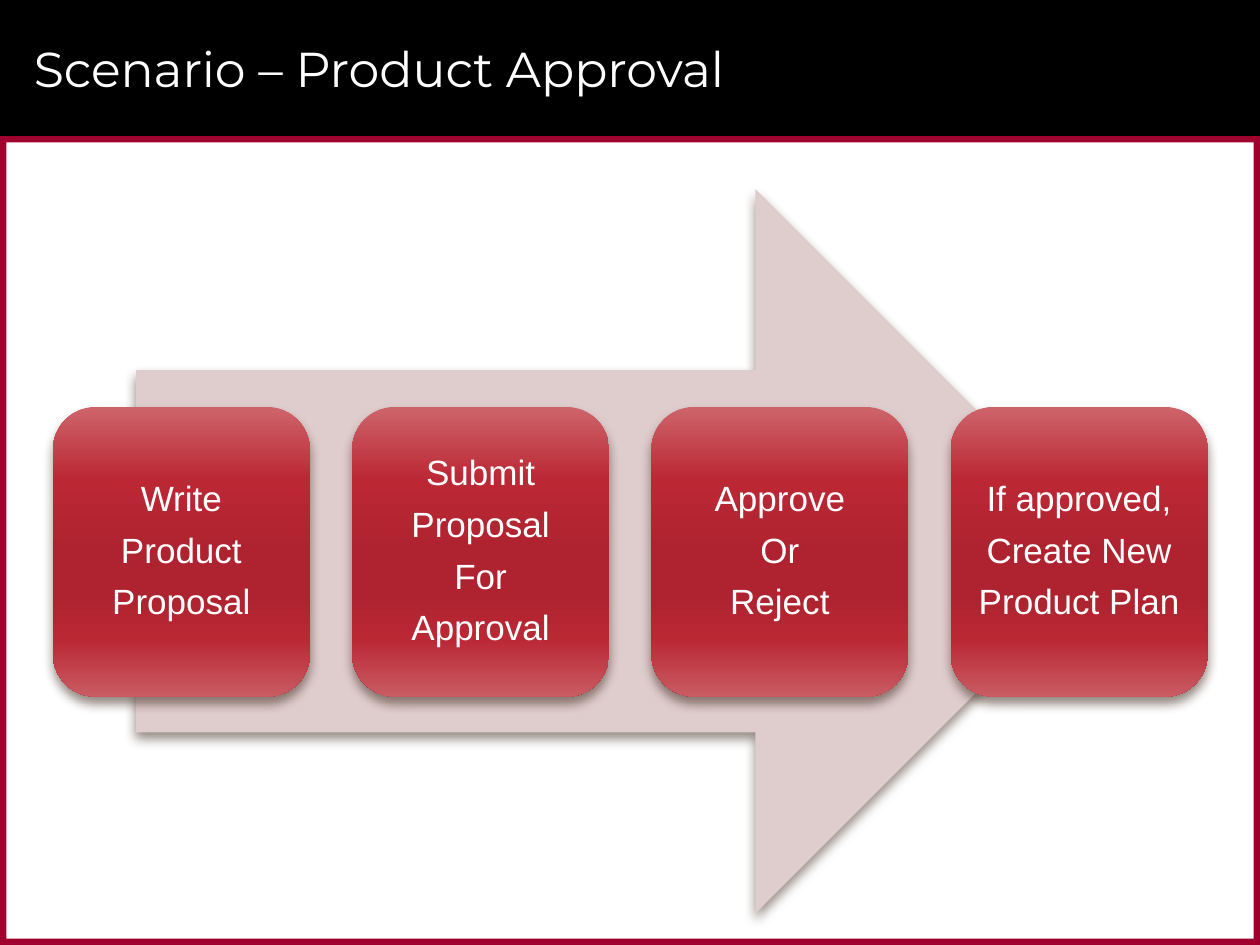
from lxml import etree
from pptx import Presentation
from pptx import util as u
from pptx.dml.color import RGBColor
from pptx.enum import shapes, text
from pptx.oxml import ns

COLORS = {"bar": "000000", "edge": "9F002D", "arrow": "DFCCCD",
          "shade": "4E3B30", "text": "FFFFFF"}
STOPS = [(0, "CE646B"), (25, "BB2834"), (50, "AE232F"),
         (65, "AE232F"), (80, "BA2834"), (100, "C95B63")]
STEPS = [["Write", "Product", "Proposal"],
         ["Submit", "Proposal", "For", "Approval"],
         ["Approve", "Or", "Reject"],
         ["If approved,", "Create New", "Product Plan"]]
KIND = shapes.MSO_SHAPE

deck = Presentation()
deck.slide_width, deck.slide_height = u.Inches(10), u.Inches(7.5)
slide = deck.slides.add_slide(deck.slide_layouts[6])


def draw(kind, box, fill=None, shade=False):
    """Add a borderless shape; without a fill colour it gets the red gradient."""
    shape = slide.shapes.add_shape(kind, *map(u.Inches, box))
    shape.line.fill.background()
    shape.shadow.inherit = False
    if fill:
        shape.fill.solid()
        shape.fill.fore_color.rgb = RGBColor.from_string(COLORS[fill])
    else:
        shape.fill.gradient()
        shape.fill.gradient_angle = 270
        stops = shape.element.spPr.find(".//" + ns.qn("a:gsLst"))
        stops.clear()
        for place, color in STOPS:
            stop = etree.SubElement(stops, ns.qn("a:gs"), pos=str(place * 1000))
            etree.SubElement(stop, ns.qn("a:srgbClr"), val=color)
    if shade:
        effects = shape.element.spPr.find(ns.qn("a:effectLst"))
        outer = etree.SubElement(effects, ns.qn("a:outerShdw"), blurRad=str(u.Pt(6)),
                                 dist=str(u.Pt(4)), dir="5400000", rotWithShape="0")
        tint = etree.SubElement(outer, ns.qn("a:srgbClr"), val=COLORS["shade"])
        etree.SubElement(tint, ns.qn("a:alpha"), val="60000")
    return shape


def write(shape, lines, font, size, align, inset=(0.1, 0.05), lead=1.0, after=0):
    frame = shape.text_frame
    frame.word_wrap = True
    frame.vertical_anchor = text.MSO_ANCHOR.MIDDLE
    frame.margin_left = frame.margin_right = u.Inches(inset[0])
    frame.margin_top = frame.margin_bottom = u.Inches(inset[1])
    for i, line in enumerate(lines):
        para = frame.add_paragraph() if i else frame.paragraphs[0]
        para.alignment = align
        para.line_spacing = lead
        para.space_after = u.Pt(after)
        run = para.add_run()
        run.text = line
        run.font.name, run.font.size = font, u.Pt(size)
        run.font.color.rgb = RGBColor.from_string(COLORS["text"])


# Header and frame
draw(KIND.RECTANGLE, (0, 0, 10, 1.08), "bar")
for edge in [(0, 1.08, 10, 0.05), (0, 7.45, 10, 0.05),
             (9.95, 1.08, 0.05, 6.42), (0, 1.08, 0.05, 6.42)]:
    draw(KIND.RECTANGLE, edge, "edge")
title = slide.shapes.add_textbox(*map(u.Inches, (0.17, 0.08, 9.42, 0.92)))
write(title, ["Scenario – Product Approval"], "Montserrat", 28, text.PP_ALIGN.LEFT)

# Process steps on the arrow
draw(KIND.RIGHT_ARROW, (1.08, 1.5, 7.79, 5.75), "arrow", shade=True)
for i, lines in enumerate(STEPS):
    card = draw(KIND.ROUNDED_RECTANGLE, (0.42 + i * 2.375, 3.23, 2.04, 2.3), shade=True)
    write(card, lines, "Arial", 20, text.PP_ALIGN.CENTER,
          inset=(0.08, 0.08), lead=0.9, after=8)

deck.save("out.pptx")
